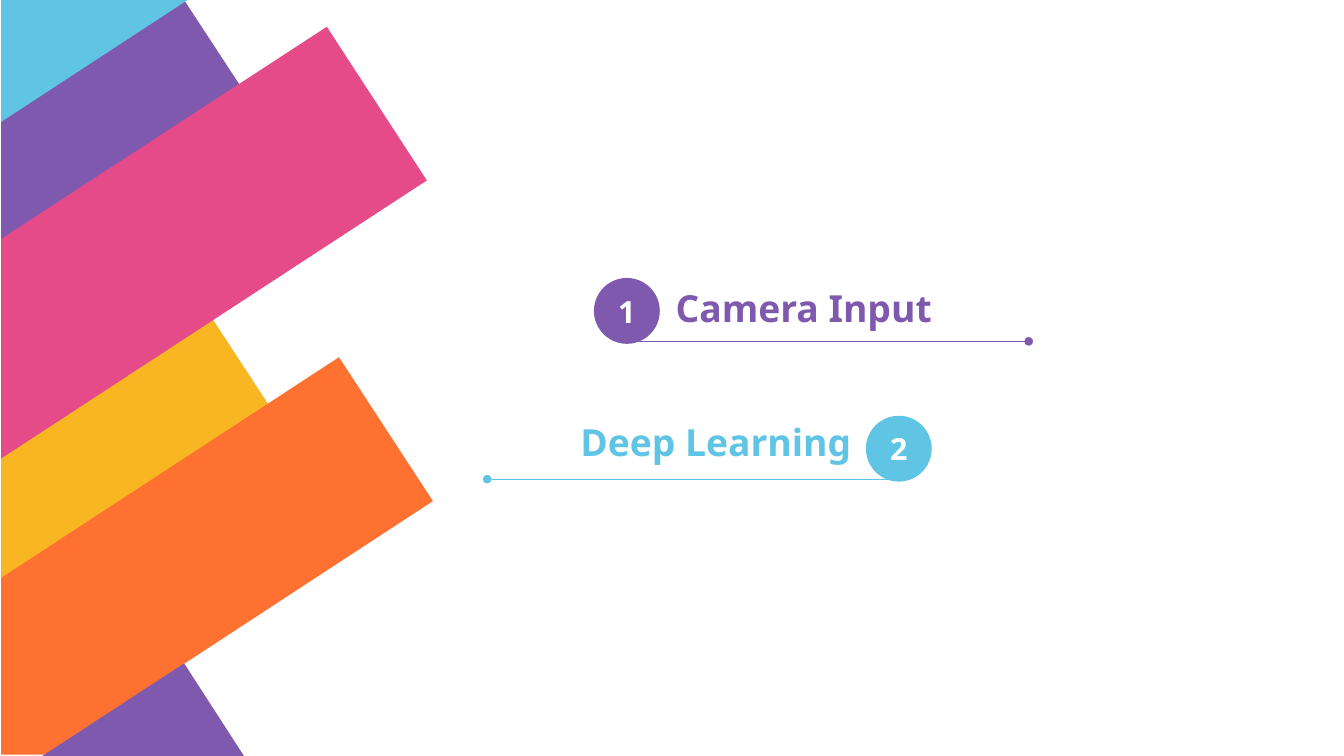
from pptx import Presentation
from pptx.dml.color import RGBColor
from pptx.enum import shapes, text
from pptx.oxml import ns, xmlchemy
from pptx.util import Inches, Pt

PURPLE, YELLOW, PINK = "7F59AE", "F8B622", "E54B89"
ORANGE, BLUE, WHITE = "FE7130", "60C4E4", "FFFFFF"
FONT = "Noto Sans"
BADGE, DOT = 0.54, 0.07

STRIPES = [
    (PURPLE, [(1.5, 0), (0, 0.97), (0, 2.13), (2.03, 0.81)]),
    (YELLOW, [(1.69, 2.55), (0, 3.65), (0, 4.77), (2.2, 3.33)]),
    (PINK, [(2.67, 0.22), (0, 1.96), (0, 3.76), (3.49, 1.48)]),
    (ORANGE, [(2.77, 2.93), (0, 4.74), (0, 6.19), (0.36, 6.19), (3.54, 4.11)]),
    (PURPLE, [(1.5, 5.44), (0.29, 6.23), (2.01, 6.23)]),
    (BLUE, [(0, 0), (0, 1), (1.53, 0)]),
]


def color(value):
    """Turn a hex string into a colour."""
    return RGBColor.from_string(value)


def paint(shape, fill):
    """Give a shape a flat fill with no outline or shadow."""
    shape.shadow.inherit = False
    shape.fill.solid()
    shape.fill.fore_color.rgb = color(fill)
    shape.line.fill.background()


def write(shape, words, *, size, ink, align, margins=(0, 0)):
    """Write one bold line, centred vertically, in a shape."""
    frame = shape.text_frame
    frame.word_wrap = True
    frame.auto_size = text.MSO_AUTO_SIZE.NONE
    frame.vertical_anchor = text.MSO_ANCHOR.MIDDLE
    frame.margin_left = frame.margin_right = Inches(margins[0])
    frame.margin_top = frame.margin_bottom = Inches(margins[1])
    paragraph = frame.paragraphs[0]
    paragraph.alignment = align
    run = paragraph.add_run()
    run.text = words
    run.font.name = FONT
    run.font.size = Pt(size)
    run.font.bold = True
    run.font.color.rgb = color(ink)


def add_circle(slide, center_x, center_y, diameter, fill):
    """Add a filled circle around a centre point."""
    circle = slide.shapes.add_shape(
        shapes.MSO_SHAPE.OVAL,
        Inches(center_x - diameter / 2), Inches(center_y - diameter / 2),
        Inches(diameter), Inches(diameter))
    paint(circle, fill)
    return circle


def add_stripes(slide, left, top):
    """Draw the slanted colour stripes from a top left corner."""
    for fill, corners in STRIPES:
        points = [(Inches(left + x), Inches(top + y)) for x, y in corners]
        builder = slide.shapes.build_freeform(*points[0])
        builder.add_line_segments(points[1:], close=True)
        paint(builder.convert_to_shape(), fill)


def add_topic(slide, heading, number, words, ink, box, heading_box, flipped=False):
    """Place a numbered heading and its rule, with the badge left or right."""
    left, top, width = box
    badge_x, dot_x = left + BADGE / 2, left + width - DOT / 2
    if flipped:
        badge_x, dot_x = left + width - BADGE / 2, left + DOT / 2
    rule_y = top + 0.52

    rule = slide.shapes.add_connector(
        shapes.MSO_CONNECTOR.STRAIGHT, Inches(dot_x), Inches(rule_y),
        Inches(badge_x), Inches(rule_y))
    rule.line.color.rgb = color(ink)
    rule.line.width = Pt(0.82)
    rule._element.spPr.append(xmlchemy.OxmlElement("a:effectLst"))
    add_circle(slide, dot_x, rule_y, DOT, ink)
    badge = add_circle(slide, badge_x, top + BADGE / 2, BADGE, ink)
    write(badge, number, size=18, ink=WHITE, align=text.PP_ALIGN.CENTER,
          margins=(0.1, 0.05))

    x, y, w, h = heading_box
    heading.left, heading.top = Inches(left + x), Inches(top + y)
    heading.width, heading.height = Inches(w), Inches(h)
    align = text.PP_ALIGN.RIGHT if flipped else text.PP_ALIGN.LEFT
    write(heading, words, size=22, ink=ink, align=align)


def main():
    """Build and save the contents slide."""
    deck = Presentation()
    deck.slide_width, deck.slide_height = Inches(11.02), Inches(6.2)
    slide = deck.slides.add_slide(deck.slide_layouts.get_by_name("Title Only"))
    slide.background.fill.solid()
    slide.background.fill.fore_color.rgb = color(WHITE)

    add_stripes(slide, 0.01, 0)
    add_topic(slide, slide.shapes.title, "1", "Camera Input", PURPLE,
              (4.87, 2.28, 3.6), (0.67, -0.11, 2.63, 0.71))
    second_heading = slide.shapes.add_textbox(0, 0, 0, 0)
    add_topic(slide, second_heading, "2", "Deep Learning", BLUE,
              (3.96, 3.41, 3.68), (-0.03, -0.14, 3.05, 0.71), flipped=True)
    deck.save("out.pptx")


if __name__ == "__main__":
    main()
